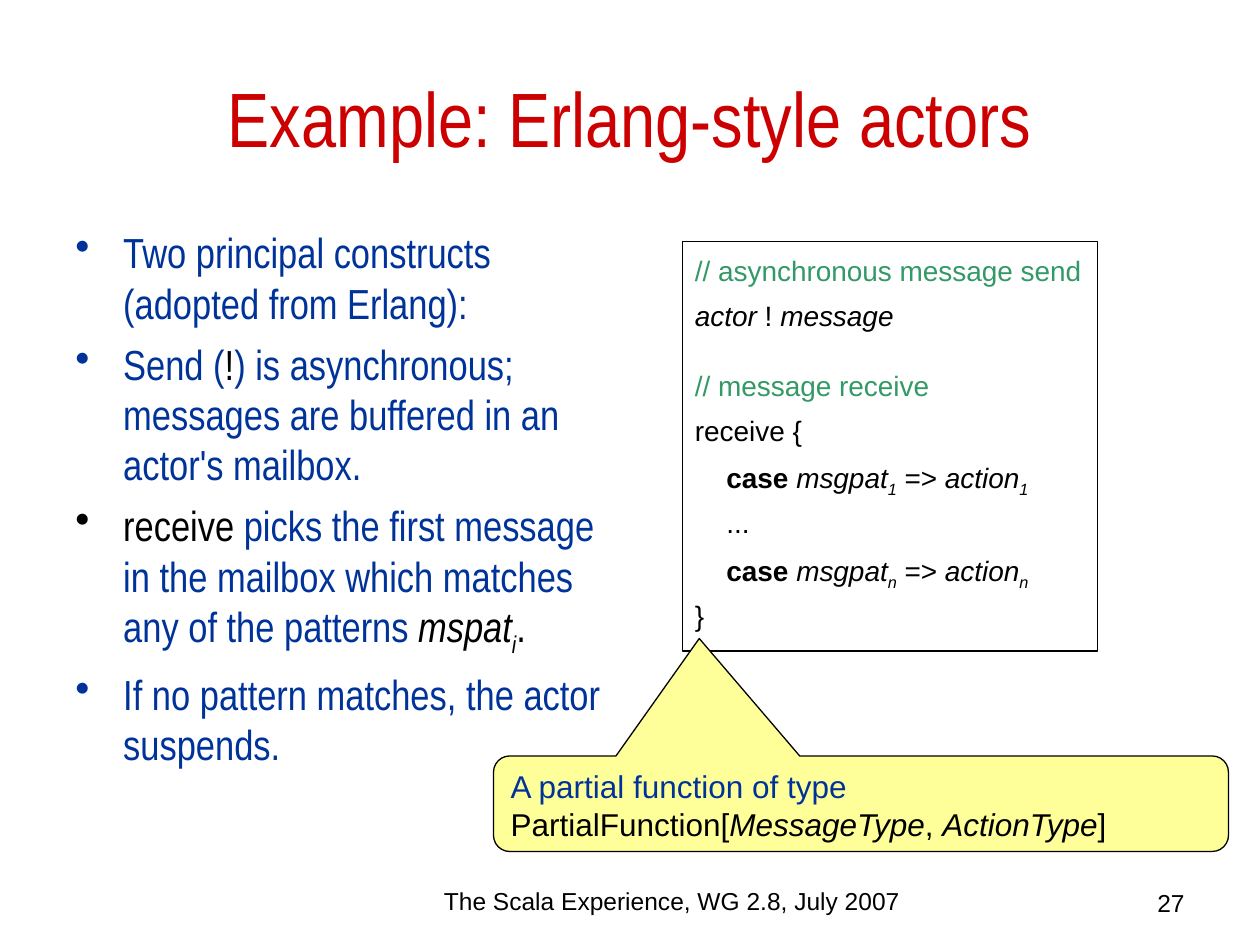
import pptx
import pptx.dml.color
import pptx.enum.shapes
import pptx.enum.text
import pptx.util
from lxml import etree

RGB = pptx.dml.color.RGBColor
RED = RGB(0xCC, 0x00, 0x00)
BLUE = RGB(0x00, 0x33, 0x99)
GREEN = RGB(0x33, 0x99, 0x66)
BLACK = RGB(0x00, 0x00, 0x00)
YELLOW = RGB(0xFF, 0xFF, 0x99)

ALIGN = pptx.enum.text.PP_ALIGN
ANCHOR = pptx.enum.text.MSO_ANCHOR
SHAPE = pptx.enum.shapes.MSO_SHAPE
Pt, Inches = pptx.util.Pt, pptx.util.Inches

PLAIN = {"color": BLACK}
BODY = {"color": BLUE}
COMMENT = {"color": GREEN}
ITALIC = {"color": BLACK, "italic": True}
BOLD = {"color": BLACK, "bold": True}
SUBSCRIPT = {"color": BLACK, "italic": True, "baseline": "-25000"}
LINE_BREAK = ("\n", PLAIN)


class SlideBuilder:
    """Places elements on a grid of 120 columns by 90 rows."""

    COLUMNS, ROWS = 120, 90

    def __init__(self, deck):
        self.slide = deck.slides.add_slide(deck.slide_layouts[6])
        self.cell_width = deck.slide_width / self.COLUMNS
        self.cell_height = deck.slide_height / self.ROWS

    def place(self, column, row, columns, rows):
        return (round(column * self.cell_width), round(row * self.cell_height),
                round(columns * self.cell_width), round(rows * self.cell_height))

    def text(self, area, paragraphs, anchor=ANCHOR.TOP, **style):
        box = self.slide.shapes.add_textbox(*self.place(*area))
        self.fill_text(box, paragraphs, anchor, **style)

    def outlined(self, kind, area, paragraphs, fill=None, adjustments=(),
                 margin=0.05, **style):
        shape = self.slide.shapes.add_shape(kind, *self.place(*area))
        shape.shadow.inherit = False
        for index, value in enumerate(adjustments):
            shape.adjustments[index] = value
        if fill is None:
            shape.fill.background()
        else:
            shape.fill.solid()
            shape.fill.fore_color.rgb = fill
        shape.line.color.rgb = BLACK
        shape.line.width = Pt(0.75)
        self.fill_text(shape, paragraphs, ANCHOR.TOP, margin, **style)

    def fill_text(self, shape, paragraphs, anchor, margin=0.05, font="Arial", size=14,
                  bullets=False, **paragraph_format):
        """Fill a shape with paragraphs, each a pair of runs and format values."""
        frame = shape.text_frame
        frame_format = {"word_wrap": True, "vertical_anchor": anchor,
                        "margin_top": Inches(margin), "margin_bottom": Inches(margin)}
        for name, value in frame_format.items():
            setattr(frame, name, value)
        for index, (runs, own_format) in enumerate(paragraphs):
            paragraph = frame.add_paragraph() if index else frame.paragraphs[0]
            values = {"alignment": ALIGN.LEFT, **paragraph_format, **own_format}
            indent = values.pop("indent", None)
            for name, value in values.items():
                setattr(paragraph, name, value)
            if indent:
                paragraph._p.get_or_add_pPr().set("marL", str(Inches(indent)))
            if bullets:
                self.bullet(paragraph)
            for content, look in runs:
                if content == "\n":
                    paragraph.add_line_break()
                else:
                    self.run(paragraph, content, font, size, look)

    def run(self, paragraph, content, font, size, look):
        run = paragraph.add_run()
        run.text = content
        values = {"name": font, "size": Pt(size), "bold": look.get("bold", False),
                  "italic": look.get("italic", False)}
        for name, value in values.items():
            setattr(run.font, name, value)
        run.font.color.rgb = look["color"]
        if "baseline" in look:
            run._r.get_or_add_rPr().set("baseline", look["baseline"])

    def bullet(self, paragraph):
        properties = paragraph._p.get_or_add_pPr()
        properties.set("marL", str(Inches(0.38)))
        properties.set("indent", str(Inches(-0.38)))
        namespace = properties.nsmap["a"]
        etree.SubElement(properties, f"{{{namespace}}}buChar", char="•")


def case_line(subscript):
    return ([("case ", BOLD), ("msgpat", ITALIC), (subscript, SUBSCRIPT),
             (" => ", PLAIN), ("action", ITALIC), (subscript, SUBSCRIPT)],
            {"indent": 0.25})


def main():
    deck = pptx.Presentation()
    deck.slide_width, deck.slide_height = Inches(10), Inches(7.5)
    builder = SlideBuilder(deck)

    builder.text((6, 3.6, 108, 15),
                 [([("Example: Erlang-style actors", {"color": RED})], {})],
                 anchor=ANCHOR.MIDDLE, font="Arial Narrow", size=44,
                 alignment=ALIGN.CENTER)

    principles = [
        [("Two principal constructs (adopted from Erlang):", BODY)],
        [("Send (", BODY), ("!", PLAIN),
         (") is asynchronous; messages are buffered in an actor's mailbox.", BODY)],
        [("receive", PLAIN),
         (" picks the first message in the mailbox which matches any of the patterns ",
          BODY),
         ("mspat", ITALIC), ("i", SUBSCRIPT), (".", PLAIN)],
        [("If no pattern matches, the actor suspends.", BODY)],
    ]
    builder.text((6, 21, 53, 59.4), [(runs, {}) for runs in principles],
                 font="Arial Narrow", size=24, bullets=True, space_before=Pt(6))

    code = [
        ([("// asynchronous message send", COMMENT)], {}),
        ([("actor", ITALIC), (" ! ", PLAIN), ("message", ITALIC)],
         {"space_after": Pt(15)}),
        ([("// message receive", COMMENT)], {}),
        ([("receive {", PLAIN)], {}),
        case_line("1"),
        ([("...", PLAIN)], {"indent": 0.25}),
        case_line("n"),
        ([("}", PLAIN)], {}),
    ]
    builder.outlined(SHAPE.RECTANGLE, (65, 23, 39.5, 39), code, margin=0.15,
                     size=16, line_spacing=0.8, space_before=Pt(10))

    function_type = [("A partial function of type", BODY), LINE_BREAK,
                     ("PartialFunction[", PLAIN), ("MessageType", ITALIC),
                     (", ", PLAIN), ("ActionType", ITALIC), ("]", PLAIN)]
    builder.outlined(SHAPE.ROUNDED_RECTANGULAR_CALLOUT, (47, 72, 70, 9.1),
                     [(function_type, {})], fill=YELLOW,
                     adjustments=(-0.22, -1.73, 0.17), size=18,
                     space_before=Pt(11.2))

    builder.text((35, 83.75, 58, 3.25),
                 [([("The Scala Experience, WG 2.8, July 2007", PLAIN)], {})],
                 alignment=ALIGN.CENTER)
    builder.text((86, 84, 28, 3), [([("27", PLAIN)], {})], alignment=ALIGN.RIGHT)

    deck.save("out.pptx")


if __name__ == "__main__":
    main()
